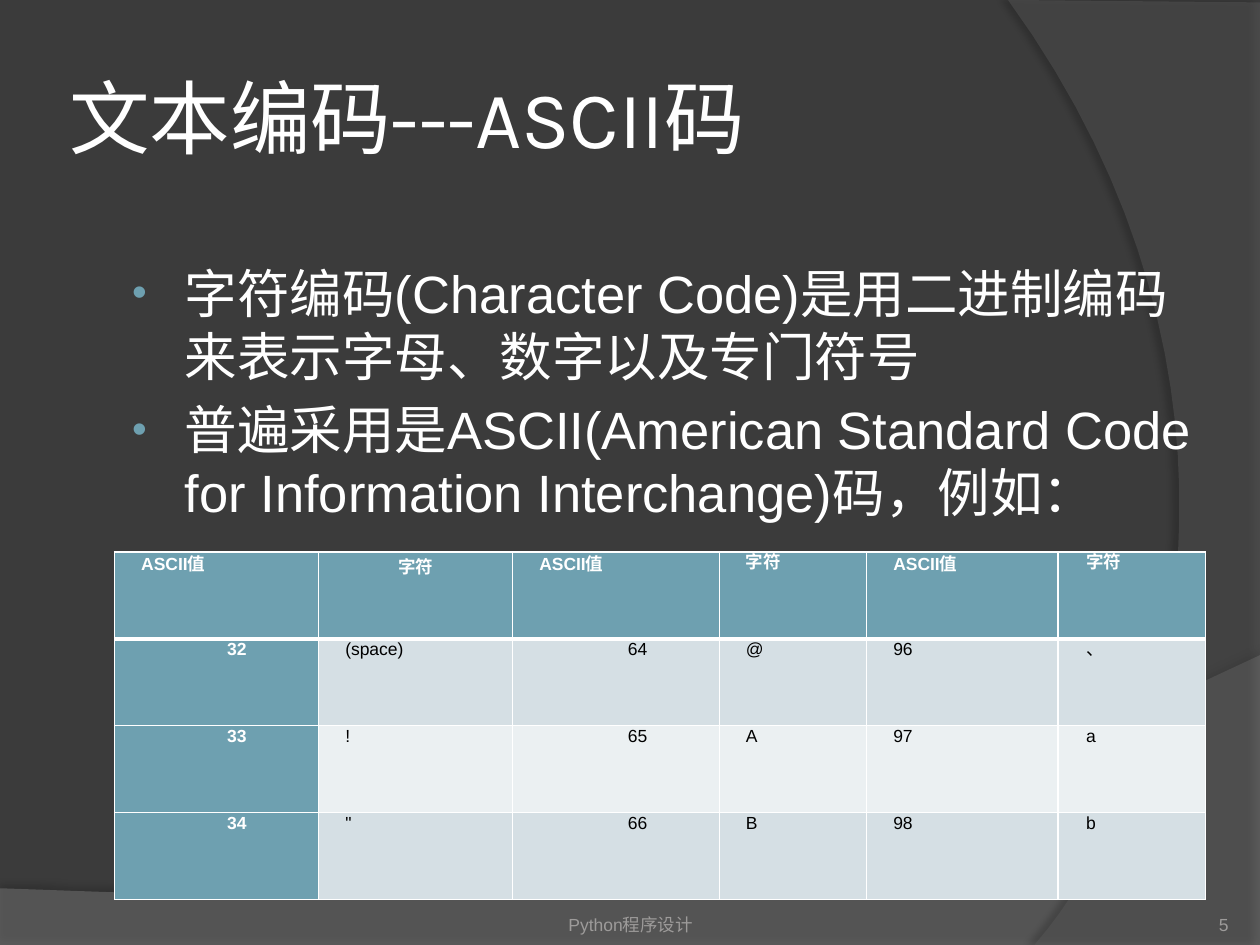
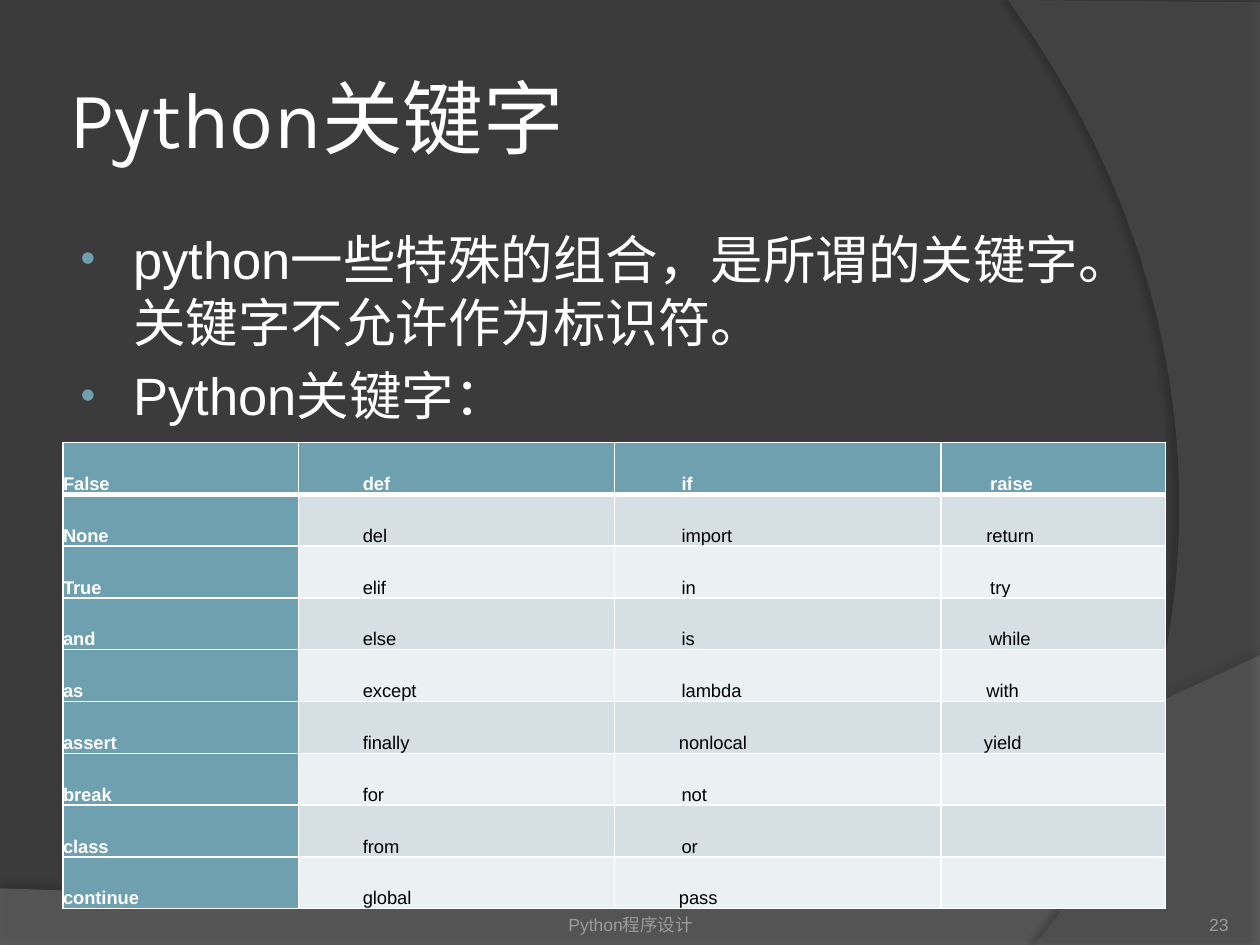
"""Build two Python course slides: ASCII codes and keywords."""
import dataclasses

import lxml.etree
import pptx
import pptx.dml.color
import pptx.enum.text
import pptx.oxml.ns
import pptx.util

Pt = pptx.util.Pt
qn = pptx.oxml.ns.qn
ALIGN = pptx.enum.text.PP_ALIGN
ANCHOR = pptx.enum.text.MSO_ANCHOR


@dataclasses.dataclass(frozen=True)
class Theme:
    back: str = "3B3B3B"
    white: str = "FFFFFF"
    ink: str = "000000"
    accent: str = "6EA0B0"
    stripes: tuple = ("D5DFE4", "EBF0F2")
    muted: str = "9D9B9A"
    title_font: str = "Karla"
    font: str = "Arial"
    title_size: float = 46
    body_size: float = 30
    small_size: float = 10


T = Theme()
FOOTER = "Python程序设计"
TITLE_BOX = (36, 21.6, 588, 90)
FOOTER_BOX = (246.2, 505.4, 228.2, 28.8)
NUMBER_BOX = (642.2, 505.4, 59.8, 28.8)

BANDS = [
    dict(start=(0, 507.6), color="7F7F7F", alpha=45, shadow=(35, 4, 3.5, 270),
         path=[[(0, 540)], [(720, 540)], [(720, 374.4)],
               [(402.5, 524.9), (281.5, 517.7), (0, 507.6)]]),
    dict(start=(720, 1.4), color="5E5E5E", alpha=40, shadow=(45, 4, 4, 180),
         path=[[(720, 540)], [(591.1, 540)],
               [(673.2, 445.7), (733, 216), (576, 0)]]),
]

SLIDES = [
    dict(
        title="文本编码---ASCII码", number="5", body_box=(65.5, 145.4, 638.6, 357.1),
        bullets=["字符编码(Character Code)是用二进制编码来表示字母、数字以及专门符号",
                 "普遍采用是ASCII(American Standard Code for Information Interchange)码，例如："],
        table=dict(
            at=(65.5, 315.4), widths=[116.6, 110.9, 118.1, 84.2, 109.4, 84.2], row_height=49.65,
            size=T.small_size, anchor=ANCHOR.TOP, inset=5.2, after=0,
            indents=[10, 10, 10, 10, 10, 10.8], right_columns=(0, 2), right_gap=36,
            header_centered=(1,), special_indents={},
            header_spacing=[Pt(13.3), 1.07, Pt(13.3), Pt(12.6), Pt(13.3), Pt(12.6)],
            special_spacing={"、": Pt(12.6)},
            rows=[["ASCII值", "字符"] * 3,
                  ["32", "(space)", "64", "@", "96", "、"],
                  ["33", "!", "65", "A", "97", "a"],
                  ["34", '"', "66", "B", "98", "b"]])),
    dict(
        title="Python关键字", number="23", body_box=(36, 126, 588, 356.4),
        bullets=["python一些特殊的组合，是所谓的关键字。关键字不允许作为标识符。",
                 "Python关键字："],
        table=dict(
            at=(36, 252.9), widths=[134.6, 180.7, 186.5, 128.2], row_height=29.6,
            size=10.5, anchor=ANCHOR.BOTTOM, inset=0, after=8,
            indents=[0, 36.7, 38.2, 28.1], right_columns=(), right_gap=0, header_centered=(),
            special_indents={"return": 25.9, "while": 27.4, "with": 25.9, "yield": 24.5,
                             "nonlocal": 36.7, "pass": 36.7},
            header_spacing=[1.07] * 4, special_spacing={},
            rows=[["False", "def", "if", "raise"],
                  ["None", "del", "import", "return"],
                  ["True", "elif", "in", "try"],
                  ["and", "else", "is", "while"],
                  ["as", "except", "lambda", "with"],
                  ["assert", "finally", "nonlocal", "yield"],
                  ["break", "for", "not", ""],
                  ["class", "from", "or", ""],
                  ["continue", "global", "pass", ""]])),
]


def rgb(color):
    return pptx.dml.color.RGBColor.from_string(color)


def node(parent, tag, **attrs):
    return lxml.etree.SubElement(parent, qn(tag), {k: str(v) for k, v in attrs.items()})


def solid(fill, color):
    fill.solid()
    fill.fore_color.rgb = rgb(color)


def add_run(p, text, size, color, font=T.font, bold=False):
    r = p.add_run()
    r.text = text
    r.font.size = Pt(size)
    r.font.name = font
    r.font.bold = bold
    r.font.color.rgb = rgb(color)


def set_margins(target, left, top, right, bottom):
    target.margin_left, target.margin_top = Pt(left), Pt(top)
    target.margin_right, target.margin_bottom = Pt(right), Pt(bottom)


def add_box(s, box, anchor, margins):
    tf = s.shapes.add_textbox(*map(Pt, box)).text_frame
    tf.word_wrap = True
    tf.vertical_anchor = anchor
    set_margins(tf, *margins)
    return tf


def add_label(s, box, text, anchor, margins, align, size, color, font=T.font):
    p = add_box(s, box, anchor, margins).paragraphs[0]
    p.alignment = align
    add_run(p, text, size, color, font)


def curve(p0, p1, p2, p3, steps=32):
    for t in (i / steps for i in range(1, steps + 1)):
        u = 1 - t
        yield tuple(u**3 * a + 3 * u * u * t * b + 3 * u * t * t * c + t**3 * d
                    for a, b, c, d in zip(p0, p1, p2, p3))


def add_band(s, band):
    points = [band["start"]]
    for step in band["path"]:
        points.extend(step if len(step) == 1 else curve(points[-1], *step))
    points = [(Pt(x), Pt(y)) for x, y in points]
    builder = s.shapes.build_freeform(*points[0])
    builder.add_line_segments(points[1:], close=True)
    sp = builder.convert_to_shape()
    solid(sp.fill, band["color"])
    sp.line.fill.background()
    sp.shadow.inherit = False
    props = sp.element.spPr
    node(props.find(qn("a:solidFill"))[0], "a:alpha", val=band["alpha"] * 1000)
    alpha, blur, dist, angle = band["shadow"]
    shadow = node(props.find(qn("a:effectLst")), "a:outerShdw", blurRad=Pt(blur),
                  dist=Pt(dist), dir=angle * 60000, algn="ctr", rotWithShape=0)
    node(node(shadow, "a:srgbClr", val=T.ink), "a:alpha", val=alpha * 1000)


def add_bullets(s, box, bullets):
    tf = add_box(s, box, ANCHOR.TOP, (7.2, 3.6, 7.2, 3.6))
    for i, text in enumerate(bullets):
        p = tf.add_paragraph() if i else tf.paragraphs[0]
        p.space_before = Pt(6)
        add_run(p, text, T.body_size, T.white)
        props = p._p.get_or_add_pPr()
        props.set("marL", str(Pt(33.1)))
        props.set("indent", str(Pt(-30.2)))
        node(node(props, "a:buClr"), "a:srgbClr", val=T.accent)
        node(props, "a:buSzPct", val=80000)
        node(props, "a:buFont", typeface=T.font)
        node(props, "a:buChar", char="•")


def set_borders(cell, row):
    props = cell._tc.get_or_add_tcPr()
    widths = dict(L=1, R=1, T=3 if row == 1 else 1, B=3 if row == 0 else 1)
    for side, width in widths.items():
        ln = node(props, "a:ln" + side, w=Pt(width))
        node(node(ln, "a:solidFill"), "a:srgbClr", val=T.white)


def fill_cell(cell, spec, row, col, text):
    header, strong = row == 0, row == 0 or col == 0
    right = not header and col in spec["right_columns"]
    inset = spec["inset"]
    set_borders(cell, row)
    solid(cell.fill, T.accent if strong else T.stripes[(row - 1) % 2])
    set_margins(cell, inset, 0, inset + (spec["right_gap"] if right else 0), 0)
    cell.vertical_anchor = spec["anchor"]
    if not text:
        return
    p = cell.text_frame.paragraphs[0]
    p.line_spacing = spec["header_spacing"][col] if header else spec["special_spacing"].get(text, 1.07)
    p.space_after = Pt(spec["after"])
    if right:
        p.alignment = ALIGN.RIGHT
    elif header and col in spec["header_centered"]:
        p.alignment = ALIGN.CENTER
    else:
        indent = spec["special_indents"].get(text, spec["indents"][col])
        p._p.get_or_add_pPr().set("marL", str(Pt(indent)))
    add_run(p, text, spec["size"], T.white if strong else T.ink, bold=strong)


def add_grid(s, spec):
    rows, widths, height = spec["rows"], spec["widths"], spec["row_height"]
    size = (sum(widths), height * len(rows))
    table = s.shapes.add_table(len(rows), len(widths), *map(Pt, spec["at"] + size)).table
    table.first_col = True
    for column, width in zip(table.columns, widths):
        column.width = Pt(width)
    for i, texts in enumerate(rows):
        table.rows[i].height = Pt(height)
        for j, text in enumerate(texts):
            fill_cell(table.cell(i, j), spec, i, j, text)


def add_slide(prs, content):
    s = prs.slides.add_slide(prs.slide_layouts[6])
    for band in BANDS:
        add_band(s, band)
    add_label(s, TITLE_BOX, content["title"], ANCHOR.MIDDLE, (3.6,) * 4, ALIGN.LEFT,
              T.title_size, T.white, T.title_font)
    add_bullets(s, content["body_box"], content["bullets"])
    add_label(s, FOOTER_BOX, FOOTER, ANCHOR.BOTTOM, (0, 3.6, 0, 0), ALIGN.CENTER,
              T.small_size, T.muted)
    add_label(s, NUMBER_BOX, content["number"], ANCHOR.BOTTOM, (0,) * 4, ALIGN.RIGHT,
              T.small_size, T.muted)
    add_grid(s, content["table"])


def main():
    prs = pptx.Presentation()
    prs.slide_width, prs.slide_height = Pt(720), Pt(540)
    solid(prs.slide_master.background.fill, T.back)
    for content in SLIDES:
        add_slide(prs, content)
    prs.save("out.pptx")


if __name__ == "__main__":
    main()
